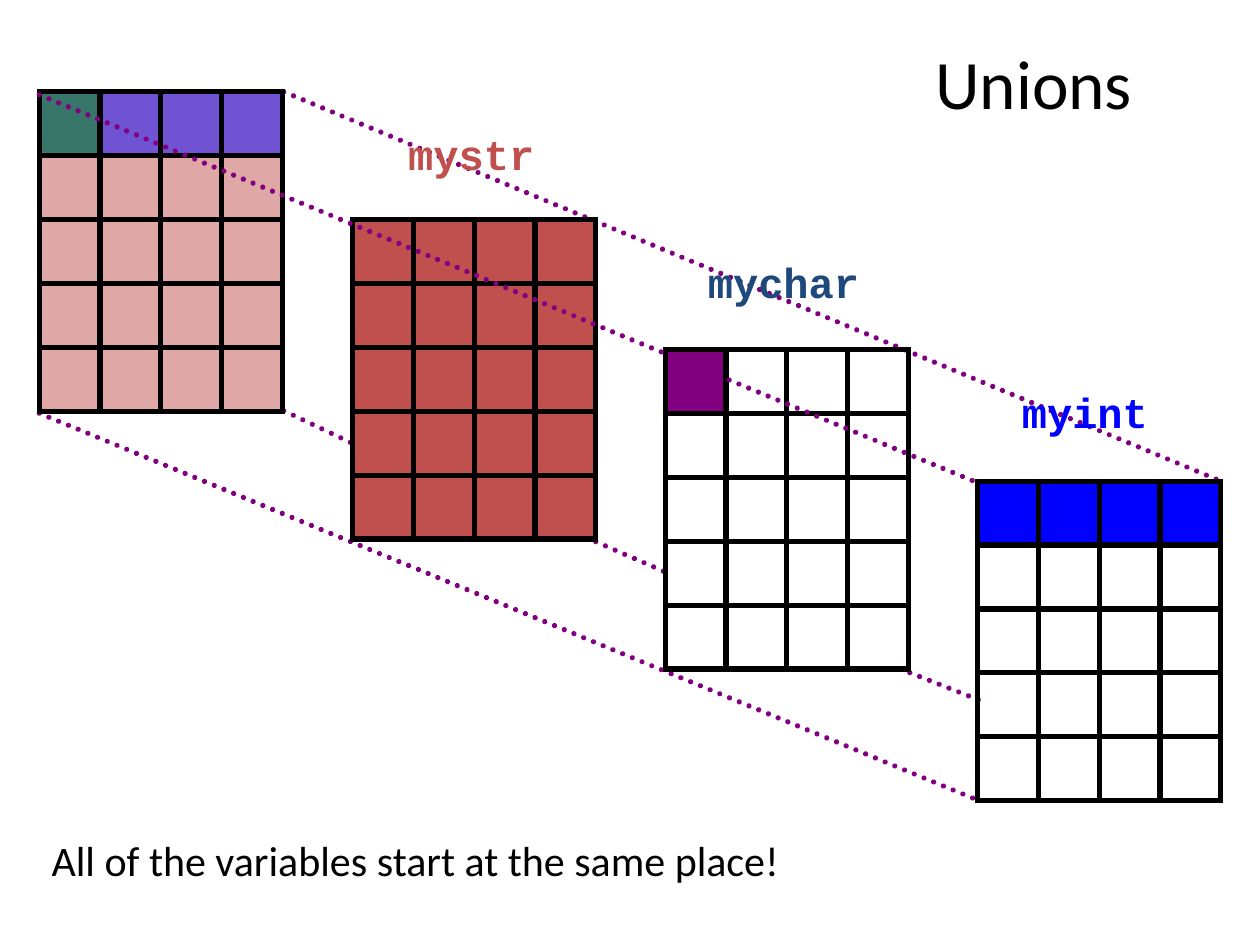
"""Build a slide showing how the members of a union share memory."""
from lxml.etree import SubElement
from pptx import Presentation
from pptx.dml.color import RGBColor
from pptx.enum.dml import MSO_LINE
from pptx.enum.shapes import MSO_CONNECTOR, MSO_SHAPE
from pptx.enum.text import MSO_ANCHOR, PP_ALIGN
from pptx.oxml.ns import qn
from pptx.util import Cm, Pt

BLACK = RGBColor(0, 0, 0)
RED = RGBColor(0xC0, 0x50, 0x4D)
NAVY = RGBColor(0x1F, 0x49, 0x7D)
BLUE = RGBColor(0, 0, 0xFF)
GREEN = RGBColor(0, 0x99, 0)
PURPLE = RGBColor(0x80, 0, 0x80)

COLUMNS, ROWS = 4, 5
CELL_WIDTH, CELL_HEIGHT = 4.9 / COLUMNS, 6.44 / ROWS
ALL_CELLS = COLUMNS * ROWS

TITLE = "Unions"
CAPTION = "All of the variables start at the same place!"

MEMORY_GRIDS = [
    {"at": (0.79, 1.85), "opacity": 50,
     "ranges": [(0, ALL_CELLS, RED), (0, COLUMNS, BLUE), (0, 1, GREEN)]},
    {"at": (7.11, 4.43), "ranges": [(0, ALL_CELLS, RED)],
     "label": ("mystr", RED, (7.98, 2.46, 3.05, 1.27))},
    {"at": (13.41, 7.05), "ranges": [(0, 1, PURPLE), (1, ALL_CELLS, None)],
     "label": ("mychar", NAVY, (14.02, 5.05, 3.56, 1.27))},
    {"at": (19.71, 9.7), "ranges": [(0, COLUMNS, BLUE), (COLUMNS, ALL_CELLS, None)],
     "label": ("myint", BLUE, (20.35, 7.67, 3.05, 1.27))},
]

BACK_GUIDES = [
    (5.72, 1.85, 24.61, 9.7),
    (5.72, 8.28, 7.11, 8.94),
    (12.01, 10.92, 13.41, 11.53),
    (18.34, 13.56, 19.76, 14.12),
    (0.79, 8.33, 19.71, 16.13),
]
FRONT_GUIDE = (0.79, 1.91, 19.63, 9.7)


def write_text(shape, text, *, size, color=BLACK, font="Calibri", bold=False,
               align=PP_ALIGN.LEFT, anchor=MSO_ANCHOR.TOP, wrap=False):
    """Put formatted text into a shape."""
    frame = shape.text_frame
    frame.word_wrap = wrap
    frame.vertical_anchor = anchor
    paragraph = frame.paragraphs[0]
    paragraph.alignment = align
    run = paragraph.add_run()
    run.text = text
    run.font.name = font
    run.font.size = Pt(size)
    run.font.bold = bold
    run.font.color.rgb = color


def add_guide(slide, ends):
    """Draw one dotted guide line."""
    connector = slide.shapes.add_connector(
        MSO_CONNECTOR.STRAIGHT, *(Cm(value) for value in ends))
    connector.line.color.rgb = PURPLE
    connector.line.width = Pt(3)
    connector.line.dash_style = MSO_LINE.ROUND_DOT
    properties = connector._element.spPr
    properties.find(qn("a:ln")).set("cap", "rnd")
    SubElement(properties, qn("a:effectLst"))


def add_cell(slide, left, top, color, opacity):
    """Draw one byte of memory."""
    cell = slide.shapes.add_shape(
        MSO_SHAPE.RECTANGLE, Cm(left), Cm(top), Cm(CELL_WIDTH), Cm(CELL_HEIGHT))
    cell.shadow.inherit = False
    cell.line.color.rgb = BLACK
    cell.line.width = Pt(3)
    properties = cell._element.spPr
    SubElement(properties.find(qn("a:ln")), qn("a:miter"), lim="800000")
    if color is None:
        cell.fill.background()
        return
    cell.fill.solid()
    cell.fill.fore_color.rgb = color
    if opacity < 100:
        color_element = properties.find(qn("a:solidFill"))[0]
        SubElement(color_element, qn("a:alpha"), val=str(opacity * 1000))


def add_grid(slide, grid):
    """Draw the cell ranges of one memory grid and its label."""
    left, top = grid["at"]
    for start, stop, color in grid["ranges"]:
        for index in range(start, stop):
            row, column = divmod(index, COLUMNS)
            add_cell(slide, left + column * CELL_WIDTH, top + row * CELL_HEIGHT,
                     color, grid.get("opacity", 100))
    if "label" in grid:
        text, color, box = grid["label"]
        label = slide.shapes.add_textbox(*(Cm(value) for value in box))
        write_text(label, text, size=24, color=color, font="Courier New", bold=True)


presentation = Presentation()
presentation.slide_width, presentation.slide_height = Cm(25.4), Cm(19.05)
slide = presentation.slides.add_slide(presentation.slide_layouts[5])

title = slide.shapes.title
title.left, title.top, title.width, title.height = Cm(17.07), Cm(0.79), Cm(7.54), Cm(1.73)
write_text(title, TITLE, size=39.6, align=PP_ALIGN.CENTER,
           anchor=MSO_ANCHOR.MIDDLE, wrap=True)

for guide in BACK_GUIDES:
    add_guide(slide, guide)
for memory_grid in MEMORY_GRIDS:
    add_grid(slide, memory_grid)

caption = slide.shapes.add_textbox(Cm(0.79), Cm(16.69), Cm(16.46), Cm(1.27))
write_text(caption, CAPTION, size=24)
add_guide(slide, FRONT_GUIDE)

presentation.save("out.pptx")
